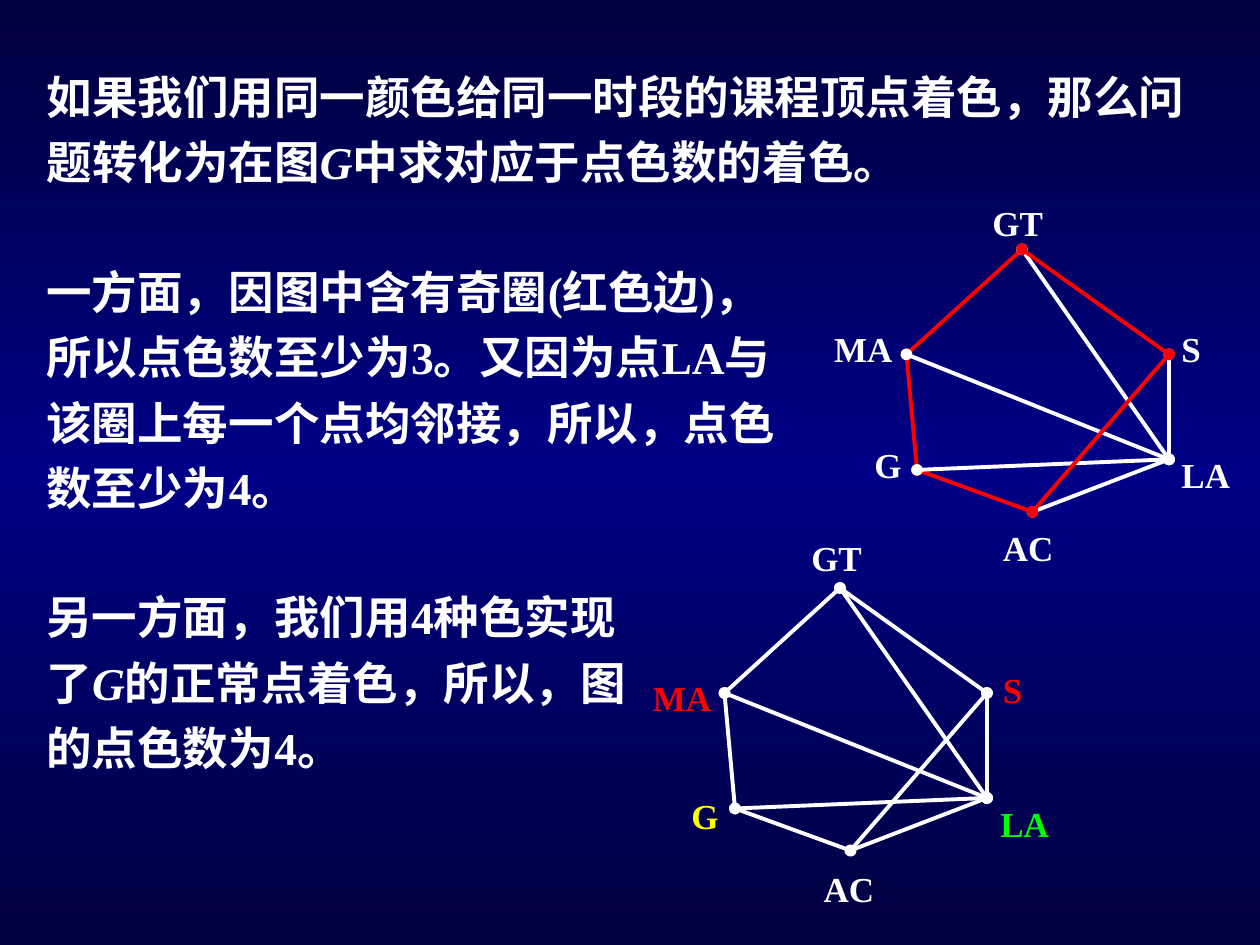
from copy import deepcopy
from dataclasses import dataclass

from lxml import etree
from pptx import Presentation
from pptx.dml.color import RGBColor
from pptx.enum.shapes import MSO_CONNECTOR
from pptx.enum.text import MSO_AUTO_SIZE
from pptx.oxml.ns import qn
from pptx.util import Pt

STRAIGHT = MSO_CONNECTOR.STRAIGHT
GROW = MSO_AUTO_SIZE.SHAPE_TO_FIT_TEXT


@dataclass(frozen=True)
class Theme:
    font: str = "Times New Roman"
    body: int = 26
    label: int = 20
    line: float = 2.25
    dark: str = "00003E"
    mid: str = "000086"
    white: str = "FFFFFF"
    red: str = "FF0000"
    yellow: str = "FFFF00"
    green: str = "00FF00"


theme = Theme()


def add_text(shapes, box, runs, size, color, spacing):
    """Add a bold text box; each run is (text, italic)."""
    shape = shapes.add_textbox(*map(Pt, box))
    frame = shape.text_frame
    frame.word_wrap = True
    frame.auto_size = GROW
    para = frame.paragraphs[0]
    para.line_spacing = spacing
    for text, slant in runs:
        run = para.add_run()
        run.text = text
        font = run.font
        font.name, font.size = theme.font, Pt(size)
        font.bold, font.italic = True, slant
        font.color.rgb = RGBColor.from_string(color)


def add_edge(shapes, start, end, color):
    """Add a line with a round dot at both ends."""
    edge = shapes.add_connector(STRAIGHT, *map(Pt, start + end))
    edge.line.width = Pt(theme.line)
    edge.line.color.rgb = RGBColor.from_string(color)
    props = edge.element.spPr
    for tag in ("a:headEnd", "a:tailEnd"):
        etree.SubElement(props.find(qn("a:ln")), qn(tag), type="oval")
    etree.SubElement(props, qn("a:effectLst"))


deck = Presentation()
deck.slide_width, deck.slide_height = Pt(720), Pt(540)
slide = deck.slides.add_slide(deck.slide_layouts[6])

# Background: dark, mid, dark from top to bottom
fill = slide.background.fill
fill.gradient()
fill.gradient_angle = 90
stops = slide.element.find(".//" + qn("a:gsLst"))
stops.append(deepcopy(stops[0]))
shades = (theme.dark, theme.mid, theme.dark)
for stop, place, shade in zip(fill.gradient_stops, (0, 0.5, 1), shades):
    stop.position = place
    stop.color.rgb = RGBColor.from_string(shade)

# Body text
body = [
    ((19.5, 29.5, 680.5, 82), [
        ("如果我们用同一颜色给同一时段的课程顶点着色，那么问题转化为在图", False),
        ("G", True),
        ("中求对应于点色数的着色。", False)]),
    ((19.5, 141, 431.5, 157), [
        ("一方面，因图中含有奇圈(红色边)，所以点色数至少为3。"
         "又因为点LA与该圈上每一个点均邻接，所以，点色数至少为4。", False)]),
    ((19.5, 327, 345.5, 119.5), [
        ("另一方面，我们用4种色实现了", False),
        ("G", True),
        ("的正常点着色，所以，图的点色数为4。", False)]),
]
for box, runs in body:
    add_text(slide.shapes, box, runs, theme.body, theme.white, 1.2)

# Both graphs share nodes, measured from GT, and edges
nodes = {"GT": (0, 0), "S": (84, 60), "LA": (84, 120),
         "AC": (6, 150), "G": (-60, 126), "MA": (-66, 60)}
edges = [("LA", "AC"), ("G", "AC"), ("MA", "G"), ("GT", "MA"), ("S", "LA"),
         ("GT", "LA"), ("MA", "LA"), ("G", "LA"), ("GT", "S"), ("S", "AC")]

# Each graph: GT position, cycle colour, label height and spacing,
# then label offsets from GT and label colours
graphs = [
    ((480, 336), theme.white, 36, 1.2, {
        "GT": (-23.5, -38, theme.white), "MA": (-114, 42, theme.red),
        "G": (-92, 109.5, theme.yellow), "AC": (-16.5, 151.5, theme.white),
        "LA": (84.5, 114, theme.green), "S": (86, 37.5, theme.red)}),
    ((584, 142.5), theme.red, 31.5, 1, {
        "GT": (-24, -31, theme.white), "MA": (-114.5, 41, theme.white),
        "G": (-91.5, 107.5, theme.white), "AC": (-18, 155, theme.white),
        "LA": (84, 113, theme.white), "S": (84, 41, theme.white)}),
]
for (left, top), cycle, height, spacing, labels in graphs:
    group = slide.shapes.add_group_shape().shapes
    spots = {name: (left + x, top + y) for name, (x, y) in nodes.items()}
    for start, end in edges:
        # The odd cycle is every edge that avoids LA
        color = theme.white if "LA" in (start, end) else cycle
        add_edge(group, spots[start], spots[end], color)
    for name, (x, y, color) in labels.items():
        box = (left + x, top + y, 49, height)
        add_text(group, box, [(name, False)], theme.label, color, spacing)

deck.save("out.pptx")
